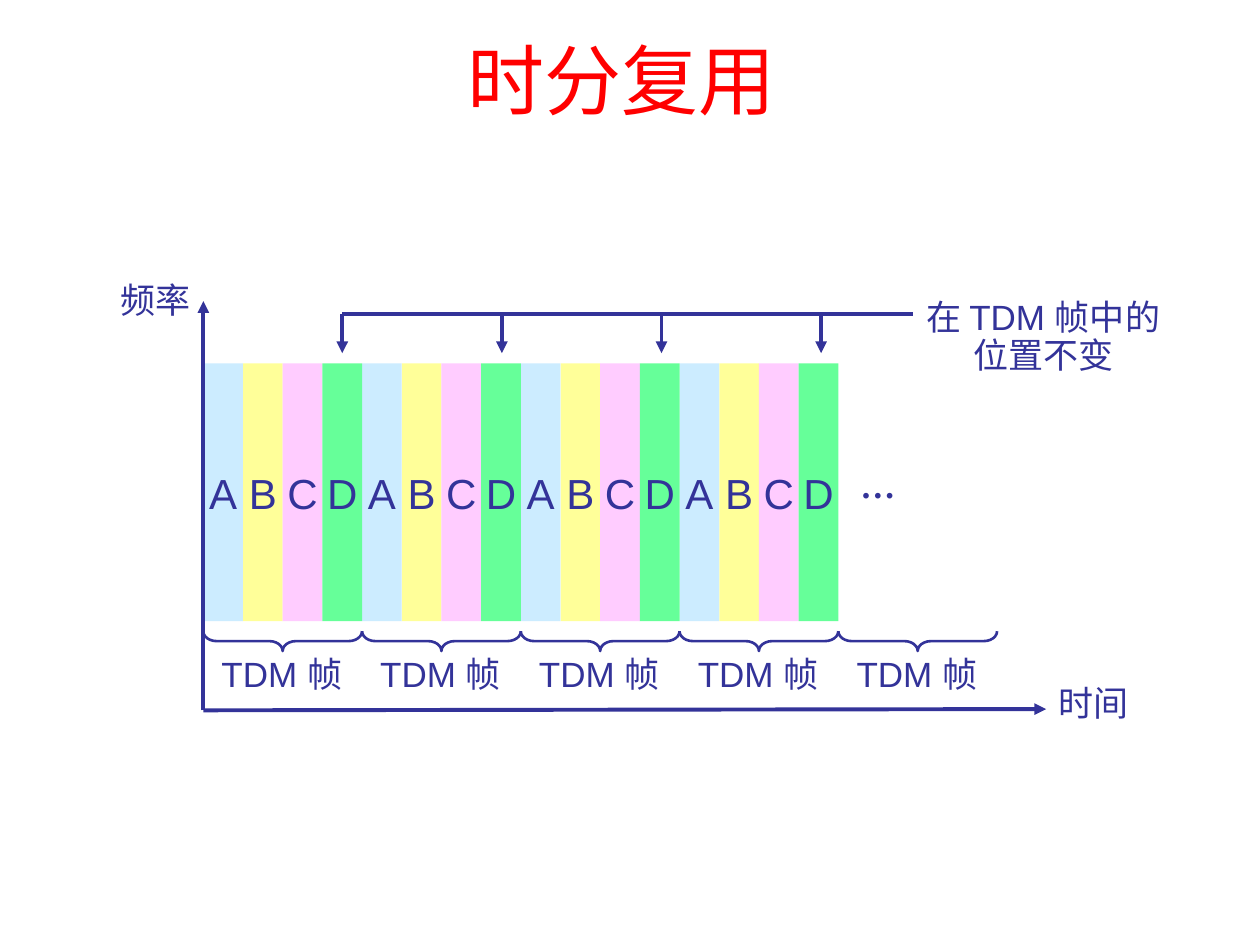
from dataclasses import dataclass

from pptx import Presentation
from pptx import util as u
from pptx.dml.color import RGBColor
from pptx.enum import shapes, text
from pptx.oxml import ns
from lxml import etree

INDIGO = RGBColor(0x33, 0x33, 0x99)
RED = RGBColor(0xFF, 0x00, 0x00)
SKY = RGBColor(0xCC, 0xEC, 0xFF)
YELLOW = RGBColor(0xFF, 0xFF, 0x99)
PINK = RGBColor(0xFF, 0xCC, 0xFF)
GREEN = RGBColor(0x66, 0xFF, 0x99)

SERIF, SANS = "Times New Roman", "Arial"
CHANNELS = {"A": SKY, "B": YELLOW, "C": PINK, "D": GREEN}
LAYERS = ("BC", "A", "D")
FULL_FRAMES = 4
ORIGIN_X, ORIGIN_Y = 116.2, 405.9
SLOT_TOP, SLOT_WIDTH, SLOT_HEIGHT = 207.6, 22.68, 147.4
FRAME_WIDTH = SLOT_WIDTH * len(CHANNELS)
BRACE_TOP, BRACE_DEPTH = 360.7, 11.3
POINTER_X, POINTER_GAP, POINTER_TOP = 195.6, 91.2, 179.2


@dataclass(frozen=True)
class Label:
    wording: str
    left: float
    top: float
    width: float
    height: float
    font: str = SERIF
    size: float = 20
    color: RGBColor = INDIGO
    bold: bool = False
    centered: bool = False
    spacing: float = 0.9
    wrap: bool = False
    anchor: text.MSO_ANCHOR = text.MSO_ANCHOR.TOP
    fit: text.MSO_AUTO_SIZE = text.MSO_AUTO_SIZE.SHAPE_TO_FIT_TEXT


@dataclass(frozen=True)
class Stroke:
    x1: float
    y1: float
    x2: float
    y2: float
    arrow: bool = True


def apply(target, values: dict) -> None:
    for name, value in values.items():
        setattr(target, name, value)


def write(frame, label: Label) -> None:
    frame.text = label.wording
    apply(frame, {
        "word_wrap": label.wrap,
        "vertical_anchor": label.anchor,
        "auto_size": label.fit,
    })
    align = text.PP_ALIGN.CENTER if label.centered else text.PP_ALIGN.LEFT
    for paragraph in frame.paragraphs:
        apply(paragraph, {"alignment": align, "line_spacing": label.spacing})
        for run in paragraph.runs:
            apply(run.font, {"name": label.font, "size": u.Pt(label.size), "bold": label.bold})
            run.font.color.rgb = label.color


def bounds(label: Label) -> list[u.Length]:
    return [u.Pt(v) for v in (label.left, label.top, label.width, label.height)]


def draw_label(slide, label: Label) -> None:
    write(slide.shapes.add_textbox(*bounds(label)).text_frame, label)


def draw_slot(slide, label: Label, fill: RGBColor) -> None:
    slot = slide.shapes.add_shape(shapes.MSO_SHAPE.RECTANGLE, *bounds(label))
    slot.shadow.inherit = False
    slot.fill.solid()
    slot.fill.fore_color.rgb = fill
    slot.line.fill.background()
    write(slot.text_frame, label)


def draw_stroke(slide, stroke: Stroke) -> None:
    ends = [u.Pt(v) for v in (stroke.x1, stroke.y1, stroke.x2, stroke.y2)]
    connector = slide.shapes.add_connector(shapes.MSO_CONNECTOR.STRAIGHT, *ends)
    connector.line.color.rgb = INDIGO
    connector.line.width = u.Pt(2.25)
    properties = connector.element.spPr
    if stroke.arrow:
        outline = properties.find(ns.qn("a:ln"))
        etree.SubElement(outline, ns.qn("a:tailEnd"), type="triangle")
    etree.SubElement(properties, ns.qn("a:effectLst"))


def draw_brace(slide, left: float) -> None:
    center_x = left + FRAME_WIDTH / 2
    center_y = BRACE_TOP + BRACE_DEPTH / 2
    brace = slide.shapes.add_shape(
        shapes.MSO_SHAPE.LEFT_BRACE,
        u.Pt(center_x - BRACE_DEPTH / 2), u.Pt(center_y - FRAME_WIDTH / 2),
        u.Pt(BRACE_DEPTH), u.Pt(FRAME_WIDTH),
    )
    brace.rotation = 270
    brace.adjustments[0] = 0.67
    brace.shadow.inherit = False
    brace.fill.background()
    brace.line.color.rgb = INDIGO
    brace.line.width = u.Pt(1.5)


def main() -> None:
    deck = Presentation()
    apply(deck, {"slide_width": u.Pt(720), "slide_height": u.Pt(540)})
    slide = deck.slides.add_slide(deck.slide_layouts[6])

    fixed = {"anchor": text.MSO_ANCHOR.MIDDLE, "fit": text.MSO_AUTO_SIZE.NONE,
             "centered": True, "spacing": 1.0}
    draw_label(slide, Label("时分复用 ", 0, 0, 720, 90, size=44, color=RED, wrap=True, **fixed))

    positions = {channel: index for index, channel in enumerate(CHANNELS)}
    for layer in LAYERS:
        for frame in range(FULL_FRAMES):
            for channel in layer:
                left = ORIGIN_X + frame * FRAME_WIDTH + positions[channel] * SLOT_WIDTH
                slot = Label(channel, left, SLOT_TOP, SLOT_WIDTH, SLOT_HEIGHT, SANS, 24, **fixed)
                draw_slot(slide, slot, CHANNELS[channel])

    for frame in range(FULL_FRAMES + 1):
        left = ORIGIN_X + frame * FRAME_WIDTH
        draw_label(slide, Label("TDM 帧", left + 3.3, 372.2, 92, 28.8, SANS))
        draw_brace(slide, left)

    labels = [
        Label("频率", 61.9, 158.6, 58, 28.8),
        Label("时间", 598, 388.8, 58, 28.8),
        Label("在 TDM 帧中的\n位置不变", 517.3, 167.9, 157.7, 50.4, SANS, centered=True),
        Label("…", 484.6, 261.4, 34.6, 31, bold=True, spacing=1.0),
    ]
    for label in labels:
        draw_label(slide, label)

    pointers = [POINTER_X + frame * POINTER_GAP for frame in range(FULL_FRAMES)]
    strokes = [
        Stroke(ORIGIN_X, ORIGIN_Y, 597.8, 405.2),
        Stroke(ORIGIN_X, ORIGIN_Y, ORIGIN_X, 172.1),
        Stroke(POINTER_X, POINTER_TOP, 521.5, POINTER_TOP, arrow=False),
        *(Stroke(x, POINTER_TOP, x, 201.8) for x in pointers),
    ]
    for stroke in strokes:
        draw_stroke(slide, stroke)

    deck.save("out.pptx")


if __name__ == "__main__":
    main()
